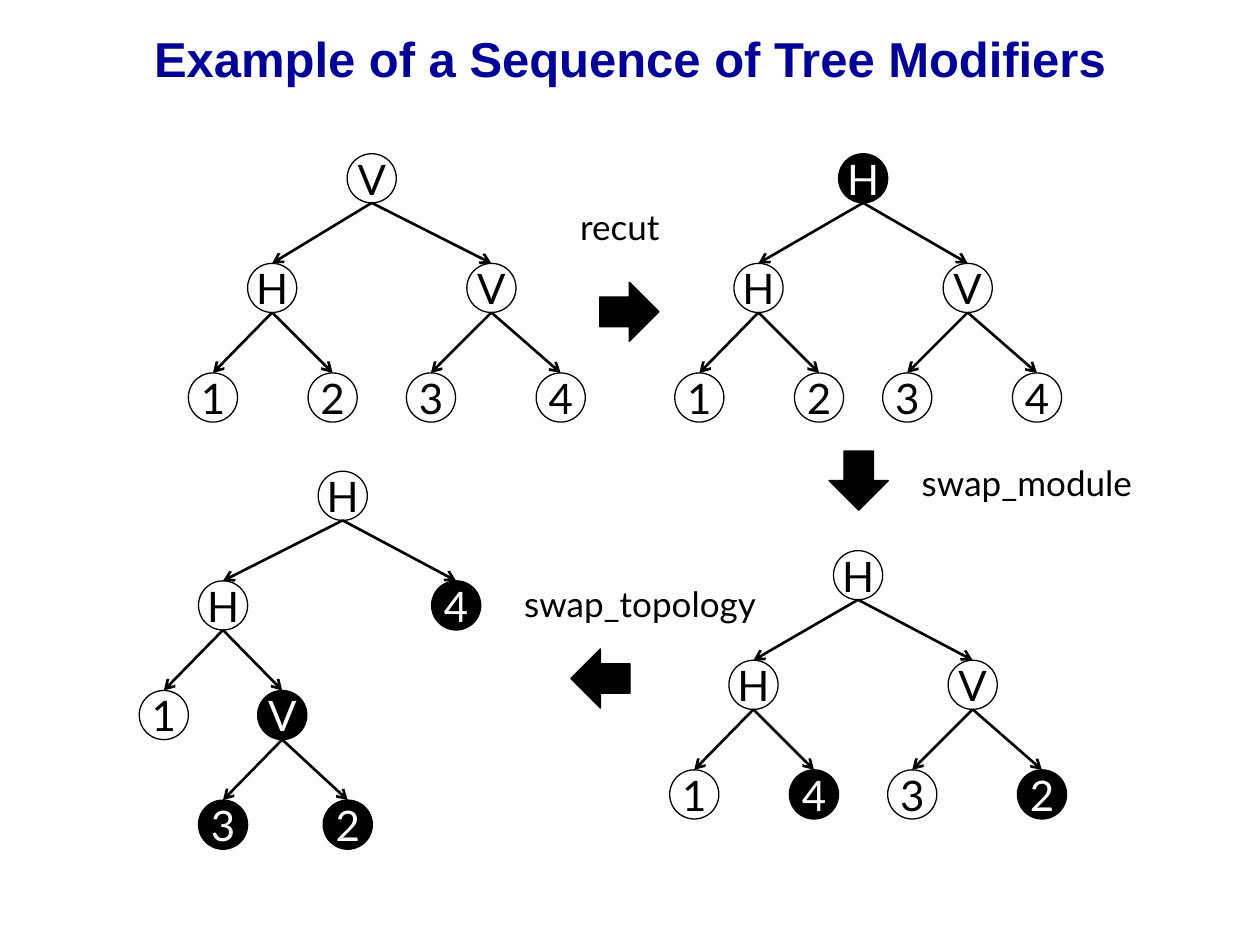
from dataclasses import dataclass

from lxml.etree import SubElement
from pptx import Presentation
from pptx.dml.color import RGBColor
from pptx.enum.shapes import MSO_CONNECTOR as Connector, MSO_SHAPE as Shape
from pptx.enum.text import MSO_ANCHOR as Anchor, PP_ALIGN as Align
from pptx.oxml.ns import qn
from pptx.util import Inches, Pt

BLACK, WHITE, NAVY = "000000", "FFFFFF", "000099"
NODE_SIZE = 0.39
LEVEL_STEP = 0.87
ARROW_SIZE = 0.47


@dataclass
class Node:
    label: str
    center: float
    children: tuple = ()
    changed: bool = False


def rgb(color):
    return RGBColor.from_string(color)


def write(frame, text, size, font, color, bold=False):
    paragraph = frame.paragraphs[0]
    paragraph.alignment = Align.CENTER
    run = paragraph.add_run()
    run.text = text
    run.font.size = Pt(size)
    run.font.name = font
    run.font.bold = bold
    run.font.color.rgb = rgb(color)


def add_text(slide, box, text, size, font, color, bold=False, anchor=Anchor.TOP):
    frame = slide.shapes.add_textbox(*map(Inches, box)).text_frame
    frame.word_wrap = True
    frame.vertical_anchor = anchor
    write(frame, text, size, font, color, bold)


def add_outlined(slide, kind, left, top, size, filled):
    shape = slide.shapes.add_shape(
        kind, Inches(left), Inches(top), Inches(size), Inches(size))
    shape.shadow.inherit = False
    if filled:
        shape.fill.solid()
        shape.fill.fore_color.rgb = rgb(BLACK)
    else:
        shape.fill.background()
    shape.line.color.rgb = rgb(BLACK)
    shape.line.width = Pt(0.74)
    return shape


def add_node(slide, node, top):
    shape = add_outlined(slide, Shape.OVAL, node.center - NODE_SIZE / 2, top,
                         NODE_SIZE, node.changed)
    frame = shape.text_frame
    frame.margin_left = frame.margin_right = 0
    frame.margin_top = frame.margin_bottom = 0
    frame.word_wrap = False
    frame.vertical_anchor = Anchor.MIDDLE
    write(frame, node.label, 24, "Lato", WHITE if node.changed else BLACK)


def add_edge(slide, start, end):
    connector = slide.shapes.add_connector(
        Connector.STRAIGHT, *map(Inches, start + end))
    connector.line.color.rgb = rgb(BLACK)
    connector.line.width = Pt(1.5)
    SubElement(connector.line._get_or_add_ln(), qn("a:tailEnd"), type="arrow")
    SubElement(connector._element.spPr, qn("a:effectLst"))


def add_tree(slide, node, top):
    add_node(slide, node, top)
    child_top = top + LEVEL_STEP
    for child in node.children:
        add_edge(slide, (node.center, top + NODE_SIZE), (child.center, child_top))
        add_tree(slide, child, child_top)


def add_step(slide, left, top, rotation, label, label_box):
    arrow = add_outlined(slide, Shape.RIGHT_ARROW, left, top, ARROW_SIZE, True)
    arrow.rotation = rotation
    add_text(slide, label_box, label, 20, "Lato", BLACK)


def main():
    presentation = Presentation()
    presentation.slide_width = Inches(10)
    presentation.slide_height = Inches(7.5)
    slide = presentation.slides.add_slide(presentation.slide_layouts[6])

    add_text(slide, (0, 0, 10, 0.92), "Example of a Sequence of Tree Modifiers",
             28, "Arial", NAVY, True, Anchor.MIDDLE)

    initial = Node("V", 2.95, (
        Node("H", 2.16, (Node("1", 1.69), Node("2", 2.64))),
        Node("V", 3.9, (Node("3", 3.42), Node("4", 4.45)))))
    recut = Node("H", 6.85, (
        Node("H", 6.02, (Node("1", 5.55), Node("2", 6.5))),
        Node("V", 7.68, (Node("3", 7.2), Node("4", 8.23)))), True)
    swapped_modules = Node("H", 6.81, (
        Node("H", 5.98, (Node("1", 5.51), Node("4", 6.46, changed=True))),
        Node("V", 7.72, (Node("3", 7.24), Node("2", 8.27, changed=True)))))
    moved = Node("V", 2.24, (
        Node("3", 1.77, changed=True), Node("2", 2.76, changed=True)), True)
    swapped_topology = Node("H", 2.72, (
        Node("H", 1.77, (Node("1", 1.3), moved)),
        Node("4", 3.62, changed=True)))

    for root, top in ((initial, 1.22), (recut, 1.22),
                      (swapped_modules, 4.37), (swapped_topology, 3.74)):
        add_tree(slide, root, top)

    add_step(slide, 4.76, 2.24, 0, "recut", (4.37, 1.58, 1.1, 0.43))
    add_step(slide, 6.58, 3.58, 90, "swap_module", (6.89, 3.61, 2.52, 0.43))
    add_step(slide, 4.53, 5.15, 180, "swap_topology", (3.82, 4.57, 2.52, 0.43))

    presentation.save("out.pptx")


main()
